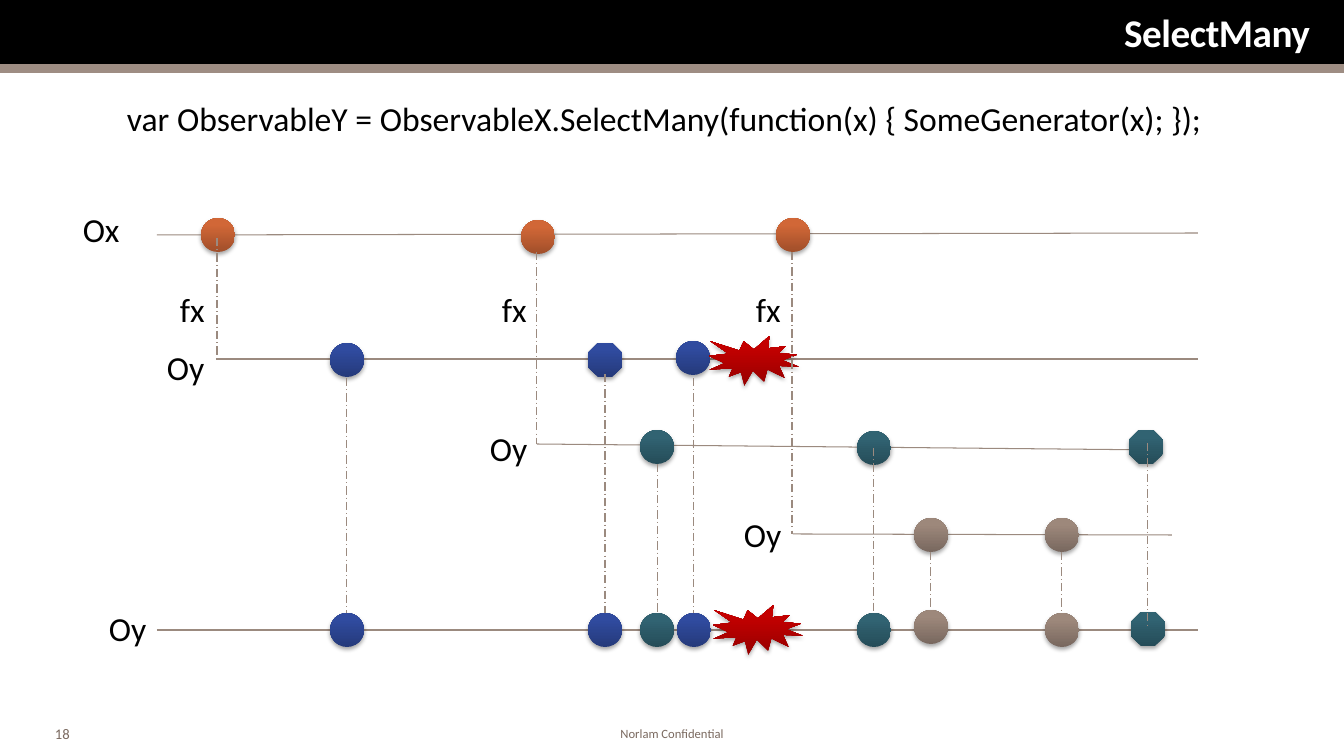
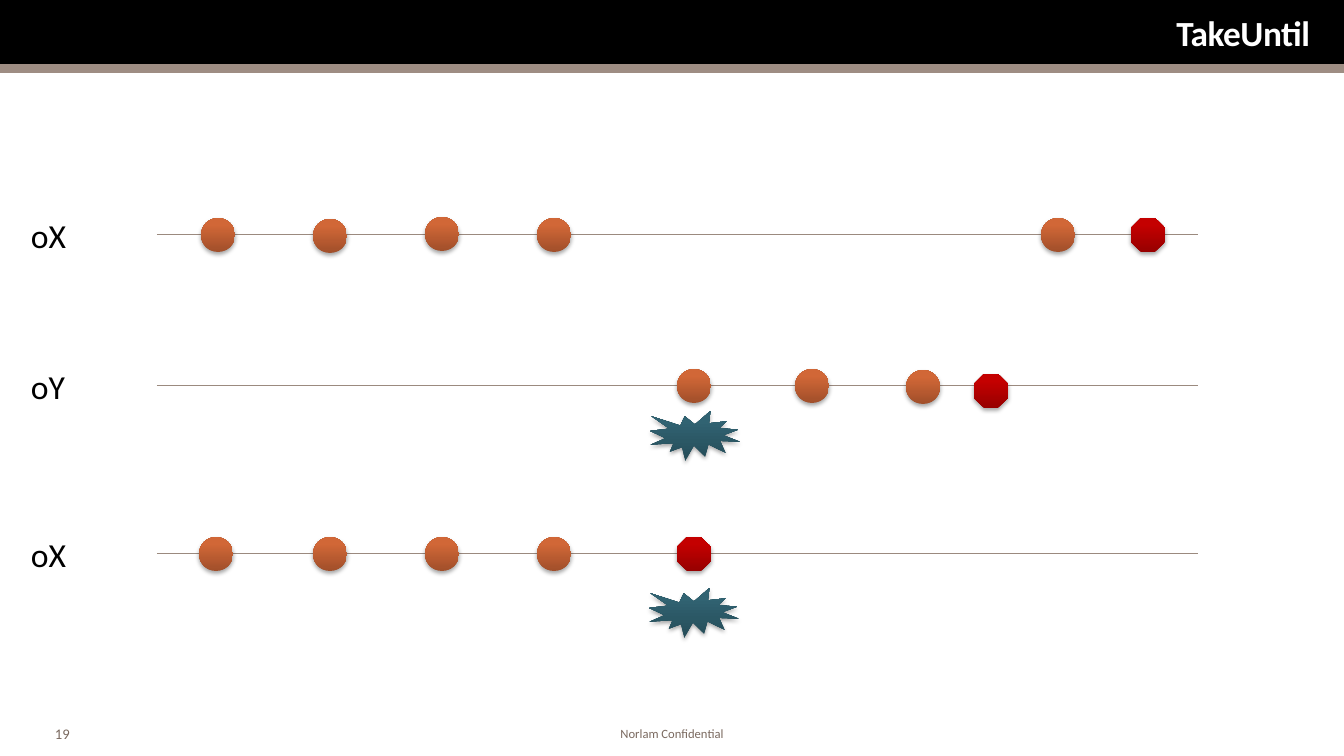
from pptx import Presentation
from pptx import util as u
from pptx.dml.color import RGBColor
from pptx.enum import dml, shapes, text
from pptx.oxml.xmlchemy import OxmlElement

FONT = "Calibri"
BLACK, WHITE, BAND, LINE, NOTE = "000000", "FFFFFF", "9E8D83", "9B8A7F", "7A695F"
# dark foot and light top of each gradient
ORANGE = ("A14F2A", "D16737")
BLUE = ("253A7B", "304B9F")
TEAL = ("254C58", "316372")
TAUPE = ("79685F", "9D887B")
RED = ("970000", "C40000")

KIND = shapes.MSO_SHAPE
DOT = (KIND.OVAL, 34, 34)
STOP = (KIND.OCTAGON, 34, 34)
BURST = (KIND.EXPLOSION1, 90, 50)
LEFT, MID, RIGHT = text.PP_ALIGN.LEFT, text.PP_ALIGN.CENTER, text.PP_ALIGN.RIGHT


def px(*sizes):
    """Turn lengths at 100.8 px to the inch into EMU."""
    return [u.Emu(round(size * 914400 / 100.8)) for size in sizes]


def tint(code):
    return RGBColor.from_string(code)


def write(slide, box, words, size, hue=BLACK, align=LEFT, pad=(10, 5), wrap=True):
    """Add a one-paragraph text box and return its shape."""
    shape = slide.shapes.add_textbox(*px(*box))
    frame = shape.text_frame
    frame.word_wrap = wrap
    frame.margin_left, frame.margin_top = frame.margin_right, frame.margin_bottom = px(*pad)
    para = frame.paragraphs[0]
    para.text, para.alignment = words, align
    font = para.font
    font.name, font.size, font.color.rgb = FONT, u.Pt(size), tint(hue)
    return shape


def label(slide, left, top, words, width=58):
    write(slide, (left, top, width, 50), words, 24, wrap=False)


def band(slide, box, hue):
    shape = slide.shapes.add_shape(KIND.RECTANGLE, *px(*box))
    shape.shadow.inherit = False
    shape.fill.solid()
    shape.fill.fore_color.rgb = tint(hue)
    shape.line.fill.background()


def rule(slide, ends, dash=None):
    wire = slide.shapes.add_connector(shapes.MSO_CONNECTOR.STRAIGHT, *px(*ends))
    wire.line.color.rgb = tint(LINE)
    wire.line.width = u.Pt(0.75)
    if dash:
        wire.line.dash_style = dash
    wire._element.spPr.append(OxmlElement("a:effectLst"))


def shade(shape):
    """Give the shape a soft shadow straight below it."""
    shape.shadow.inherit = False
    glow = OxmlElement("a:outerShdw")
    for key, value in (("blurRad", u.Pt(3.1)), ("dist", u.Pt(1.8)),
                       ("dir", 5400000), ("rotWithShape", 0)):
        glow.set(key, str(int(value)))
    ink = OxmlElement("a:srgbClr")
    ink.set("val", BLACK)
    alpha = OxmlElement("a:alpha")
    alpha.set("val", "35000")
    ink.append(alpha)
    glow.append(ink)
    shape._element.spPr.find(alpha.tag.replace("alpha", "effectLst")).append(glow)


def mark(slide, x, y, kind, hues):
    """Add an event centred on x, y."""
    form, wide, high = kind
    shape = slide.shapes.add_shape(form, *px(x - wide / 2, y - high / 2, wide, high))
    shape.line.fill.background()
    shape.fill.gradient()
    shape.fill.gradient_angle = 90
    for stop, hue, place in zip(shape.fill.gradient_stops, hues, (0, 0.8)):
        stop.color.rgb, stop.position = tint(hue), place
    shade(shape)


def track(slide, box, name, marks):
    """Draw a time line from corner to corner of box, with its label and events."""
    left, top, wide, high = box
    rule(slide, (left, top, left + wide, top + high))
    words, x, y = name
    label(slide, left + x, top + y, words)
    for kind, hues, x, y in marks:
        mark(slide, left + x, top + y, kind, hues)


def page(deck, title, size, number):
    """Add a slide with the shared bands, title and footer."""
    slide = deck.slides.add_slide(deck.slide_layouts[6])
    band(slide, (0, 0, 1344, 65), BLACK)
    band(slide, (0, 64, 1344, 9), BAND)
    head = write(slide, (41, 7, 1273, 50), title, size, WHITE, RIGHT, (4, 4)).text_frame
    head.vertical_anchor = text.MSO_ANCHOR.MIDDLE
    para = head.paragraphs[0]
    para.font.bold = True
    para.runs[0]._r.get_or_add_rPr().set("spc", "-30")
    write(slide, (46, 721, 50, 27), str(number), 10.5, NOTE, pad=(9, 4))
    write(slide, (410, 722, 524, 24), "Norlam Confidential", 9, NOTE, MID, (9, 4))
    return slide


def many(deck):
    slide = page(deck, "SelectMany", 28, 18)
    write(slide, (117, 93, 1117, 50),
          "var ObservableY = ObservableX.SelectMany(function(x) { SomeGenerator(x); });", 24)
    rows = (
        ((157, 235, 1041, -2), ("Ox", -84, -31),
         [(DOT, ORANGE, 61, 0), (DOT, ORANGE, 381, 2), (DOT, ORANGE, 636, 0)]),
        ((216, 359, 982, 0), ("Oy", -59, -17),
         [(DOT, BLUE, 131, 1), (STOP, BLUE, 389, 1), (DOT, BLUE, 477, -1),
          (BURST, RED, 538, 2)]),
        ((537, 444, 625, 6), ("Oy", -57, -21),
         [(DOT, TEAL, 120, 3), (DOT, TEAL, 337, 4), (STOP, TEAL, 609, 3)]),
        ((793, 534, 379, 1), ("Oy", -59, -25),
         [(DOT, TAUPE, 138, 1), (DOT, TAUPE, 269, 1)]),
        ((157, 630, 1041, 0), ("Oy", -58, -27),
         [(DOT, BLUE, 190, 0), (DOT, BLUE, 448, 0), (DOT, TEAL, 500, 0),
          (DOT, BLUE, 537, 0), (BURST, RED, 601, 0), (DOT, TEAL, 717, 0),
          (DOT, TAUPE, 774, -3), (DOT, TAUPE, 905, 0), (STOP, TEAL, 991, -1)]),
    )
    for row in rows:
        track(slide, *row)
    drops = ((217, 238, 356), (537, 252, 444), (792, 252, 534), (347, 378, 613),
             (605, 374, 613), (694, 378, 613), (658, 464, 613), (874, 448, 613),
             (931, 552, 610), (1062, 552, 613), (1148, 443, 625))
    for x, top, foot in drops:
        rule(slide, (x, top, x, foot), dml.MSO_LINE.LONG_DASH_DOT)
    for left in (170, 492, 746):
        label(slide, left, 284, "fx", 45)


def until(deck):
    slide = page(deck, "TakeUntil", 25.2, 19)
    rows = (
        (235, "oX",
         [(DOT, ORANGE, 61, 0), (DOT, ORANGE, 173, 1), (DOT, ORANGE, 285, -1),
          (DOT, ORANGE, 397, 0), (DOT, ORANGE, 901, 0), (STOP, RED, 991, 0)]),
        (386, "oY",
         [(DOT, ORANGE, 537, 0), (DOT, ORANGE, 655, 0), (DOT, ORANGE, 766, 1),
          (STOP, RED, 834, 5), (BURST, TEAL, 538, 50)]),
        (554, "oX",
         [(DOT, ORANGE, x, 0) for x in (59, 173, 285, 397)]
         + [(STOP, RED, 537, 0), (BURST, TEAL, 537, 59)]),
    )
    for top, words, marks in rows:
        track(slide, (157, top, 1041, 0), (words, -136, -25), marks)


def main():
    deck = Presentation()
    deck.slide_width, deck.slide_height = px(1344, 756)
    many(deck)
    until(deck)
    deck.save("out.pptx")


if __name__ == "__main__":
    main()
